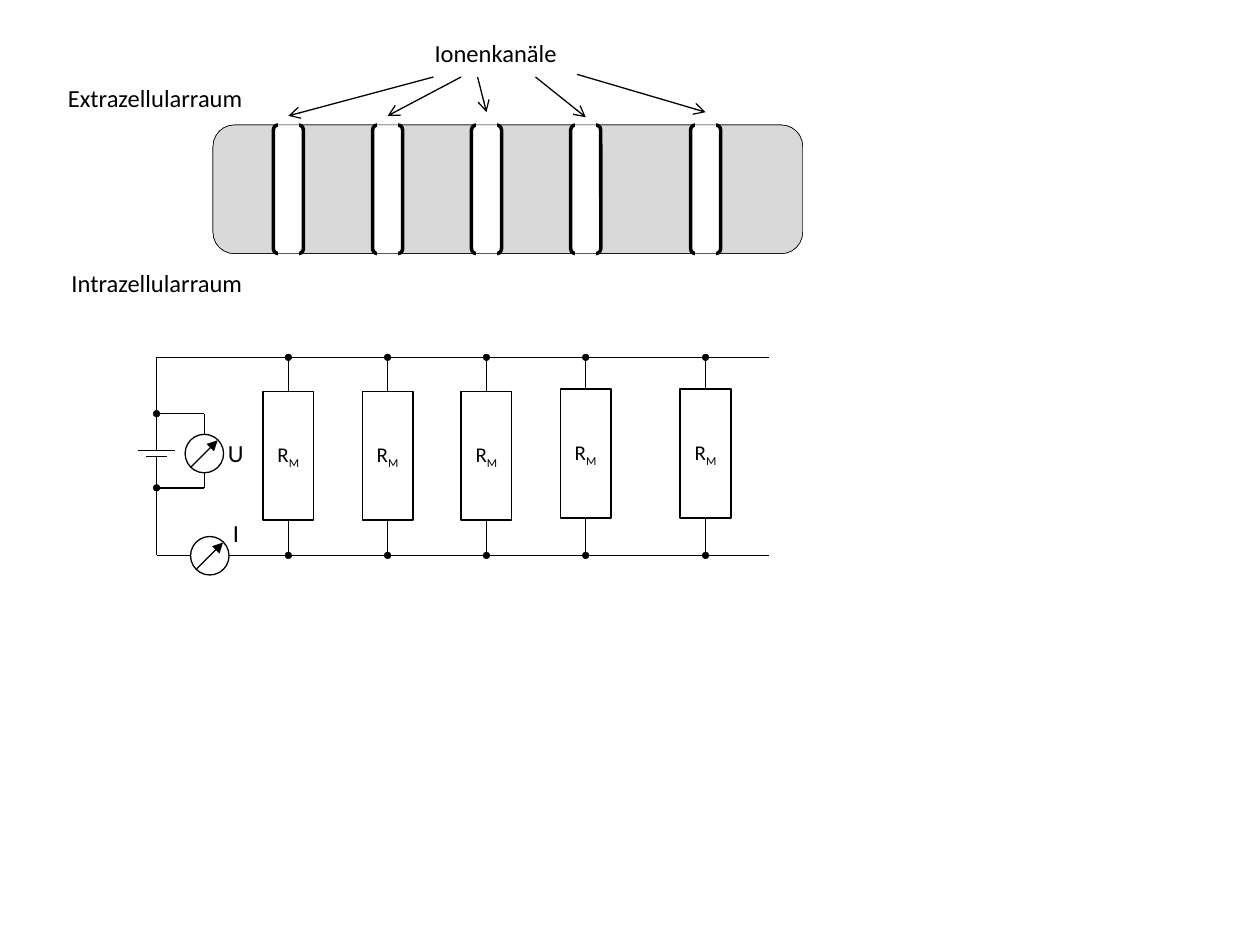
import pptx
import pptx.util
import pptx.dml.color
import pptx.enum.shapes
import pptx.enum.text
import pptx.oxml.ns
import lxml.etree

Pt = pptx.util.Pt
SHAPES = pptx.enum.shapes.MSO_SHAPE
BLACK, WHITE, GREY = "000000", "FFFFFF", "D9D9D9"
FONT = "Calibri"

# Content: text, left, top, width
LABELS = [
    ("U", 123.1, 247, 23.8),
    ("I", 126, 292.3, 18),
    ("Extrazellularraum", 31.7, 43.9, 115.2),
    ("Intrazellularraum", 33.8, 149.8, 113),
    ("Ionenkanäle", 241.2, 18, 85),
]
# Each channel: centre, top of its opening, top of its resistor, arrow start
CHANNELS = [
    (164.8, 66.2, 223.8, (247.7, 44)),
    (221.5, 66.2, 223.8, (263.5, 44)),
    (278, 64.1, 223.8, (272.9, 44)),
    (334.7, 67, 222.4, (306, 44)),
    (403.2, 64.1, 222.4, (329.8, 42.5)),
]
MEMBRANE = (121.7, 71.4, 337, 73.6)
RESISTOR_WIDTH, RESISTOR_HEIGHT = 28.8, 73.6
TOP_WIRE, BOTTOM_WIRE = 204.2, 317.4
BATTERY_X, WIRE_END = 89.5, 439.2
PLATE_TOP, PLATE_BOTTOM = 257.6, 260.9
VOLTMETER, AMMETER = (116.8, 259.2), (119.9, 317.6)
TAP_TOP, TAP_BOTTOM = 236.4, 278.8
METER_RADIUS, NEEDLE = 11, 7.6
DOT = 3.8

presentation = pptx.Presentation()
presentation.slide_width, presentation.slide_height = Pt(720), Pt(540)
slide = presentation.slides.add_slide(presentation.slide_layouts[6])


def colour(value):
    return pptx.dml.color.RGBColor.from_string(value)


def add_shape(kind, left, top, width, height, fill=WHITE, line=BLACK, weight=0.75):
    shape = slide.shapes.add_shape(kind, Pt(left), Pt(top), Pt(width), Pt(height))
    shape.shadow.inherit = False
    if fill:
        shape.fill.solid()
        shape.fill.fore_color.rgb = colour(fill)
    else:
        shape.fill.background()
    shape.line.color.rgb = colour(line)
    shape.line.width = Pt(weight)
    return shape


def add_line(start, end, head=None):
    points = [Pt(value) for value in (*start, *end)]
    connector = slide.shapes.add_connector(
        pptx.enum.shapes.MSO_CONNECTOR.STRAIGHT, *points)
    connector.line.color.rgb = colour(BLACK)
    connector.line.width = Pt(0.75)
    qn = pptx.oxml.ns.qn
    if head:
        line = connector.line._get_or_add_ln()
        lxml.etree.SubElement(line, qn("a:tailEnd"), type=head)
    lxml.etree.SubElement(connector._element.spPr, qn("a:effectLst"))
    return connector


def write(shape, text, size=14, align="LEFT", subscript=""):
    paragraph = shape.text_frame.paragraphs[0]
    paragraph.alignment = getattr(pptx.enum.text.PP_ALIGN, align)
    for part in filter(None, (text, subscript)):
        run = paragraph.add_run()
        run.text = part
        run.font.name, run.font.size = FONT, Pt(size)
        run.font.color.rgb = colour(BLACK)
    if subscript:
        run.font._element.set("baseline", "-25000")


def add_dot(x, y):
    add_shape(SHAPES.OVAL, x - DOT / 2, y - DOT / 2, DOT, DOT, fill=BLACK, weight=0.25)


def add_meter(x, y):
    add_shape(SHAPES.OVAL, x - METER_RADIUS, y - METER_RADIUS,
              2 * METER_RADIUS, 2 * METER_RADIUS)
    add_line((x - NEEDLE, y + NEEDLE), (x + NEEDLE, y - NEEDLE), head="triangle")


# White panel and membrane with its channels
add_shape(SHAPES.RECTANGLE, 33.8, 18, 437.8, 311, line=WHITE, weight=2)
add_shape(SHAPES.ROUNDED_RECTANGLE, *MEMBRANE, fill=GREY, weight=0.25)
for x, opening, _, _ in CHANNELS:
    add_shape(SHAPES.ROUNDED_RECTANGLE, x - 8.6, MEMBRANE[1], 17.2, MEMBRANE[3], weight=2)
    add_shape(SHAPES.RECTANGLE, x - 5, opening, 10, 85, line=WHITE, weight=2)
add_shape(SHAPES.ROUNDED_RECTANGLE, *MEMBRANE, fill=None, weight=0.25)

# Battery and main wires
add_line((BATTERY_X - 10.5, PLATE_TOP), (BATTERY_X + 10.5, PLATE_TOP))
add_line((BATTERY_X - 6.1, PLATE_BOTTOM), (BATTERY_X + 6.1, PLATE_BOTTOM))
for plate, wire in ((PLATE_TOP, TOP_WIRE), (PLATE_BOTTOM, BOTTOM_WIRE)):
    add_line((BATTERY_X, plate), (BATTERY_X, wire))
    add_line((BATTERY_X, wire), (WIRE_END, wire))

# Resistors between the wires
for x, _, top, _ in CHANNELS:
    resistor = add_shape(SHAPES.RECTANGLE, x - RESISTOR_WIDTH / 2, top,
                         RESISTOR_WIDTH, RESISTOR_HEIGHT, weight=1)
    frame = resistor.text_frame
    frame.margin_left = frame.margin_right = 0
    frame.vertical_anchor = pptx.enum.text.MSO_ANCHOR.MIDDLE
    write(resistor, "R", size=12, align="CENTER", subscript="M")
    for site, edge, wire in ((0, top, TOP_WIRE), (2, top + RESISTOR_HEIGHT, BOTTOM_WIRE)):
        add_line((x, edge), (x, wire)).begin_connect(resistor, site)
        add_dot(x, wire)

# Meters and voltmeter taps
add_meter(*VOLTMETER)
add_meter(*AMMETER)
for tap, side in ((TAP_TOP, -1), (TAP_BOTTOM, 1)):
    add_line((VOLTMETER[0], VOLTMETER[1] + side * METER_RADIUS), (VOLTMETER[0], tap))
    add_line((VOLTMETER[0], tap), (BATTERY_X, tap))
    add_dot(BATTERY_X, tap)

# Labels and arrows to the channels
for text, left, top, width in LABELS:
    box = slide.shapes.add_textbox(Pt(left), Pt(top), Pt(width), Pt(24.2))
    box.text_frame.word_wrap = False
    box.text_frame.auto_size = pptx.enum.text.MSO_AUTO_SIZE.SHAPE_TO_FIT_TEXT
    write(box, text)
for x, opening, _, start in CHANNELS:
    add_line(start, (x, opening), head="arrow")

presentation.save("out.pptx")
